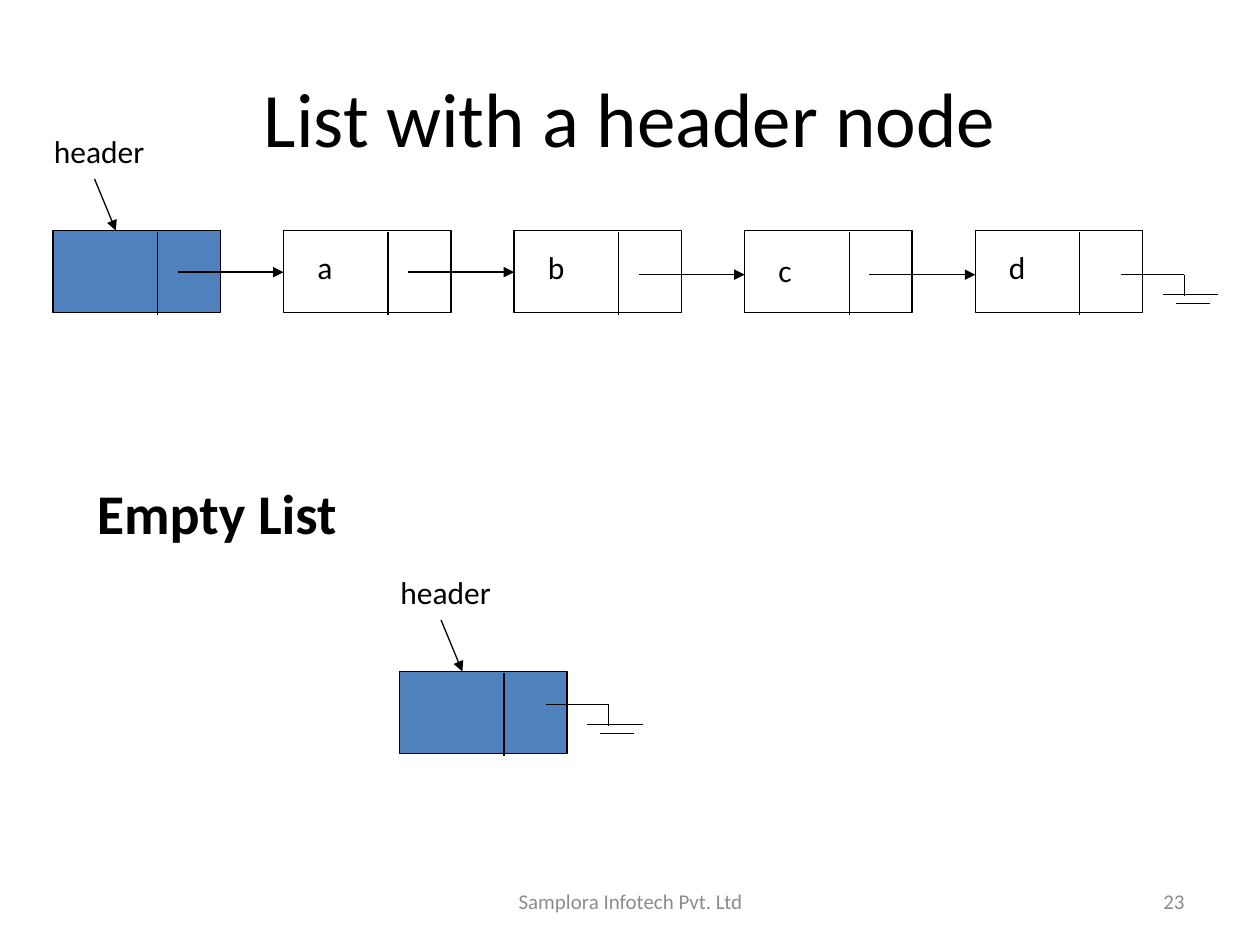
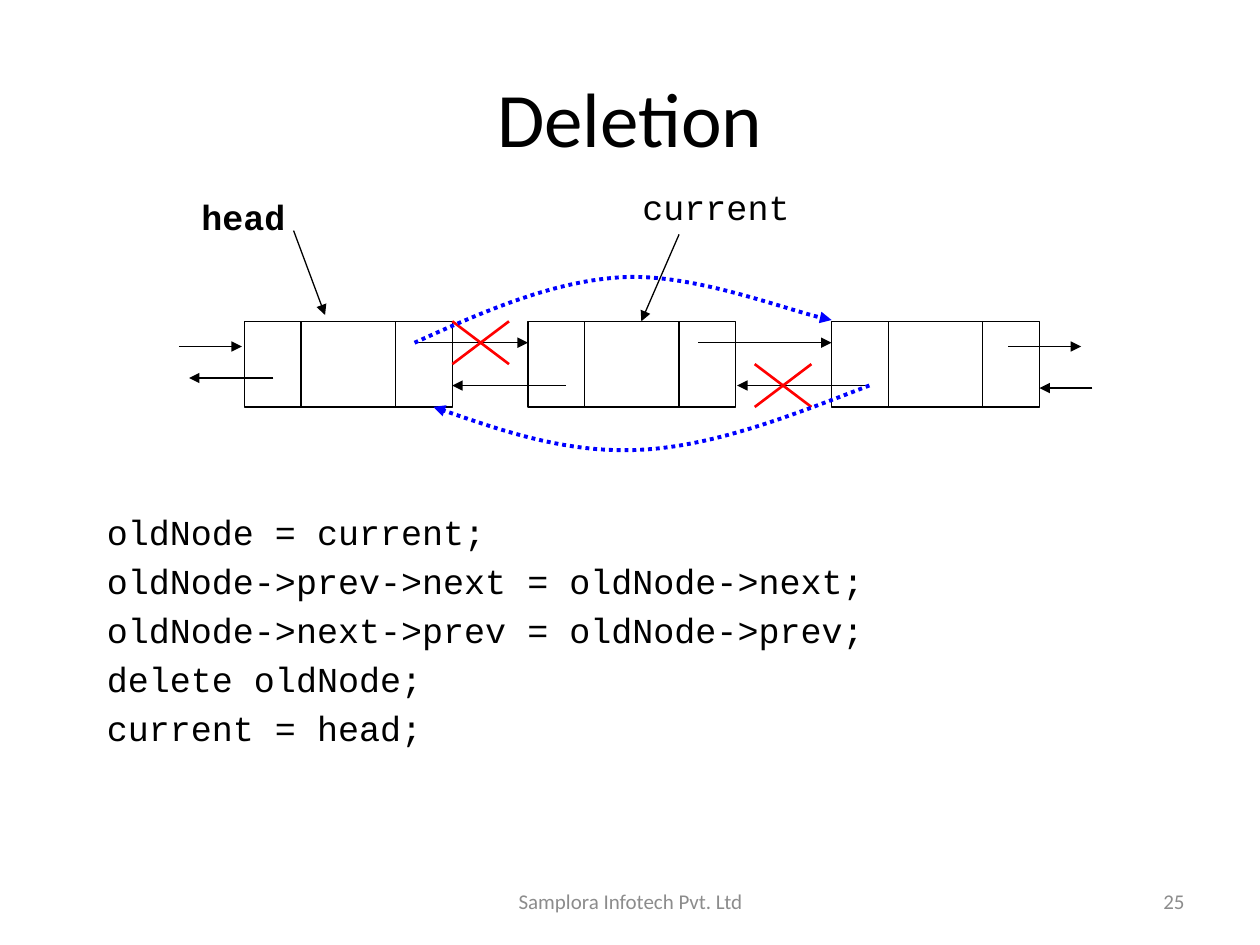
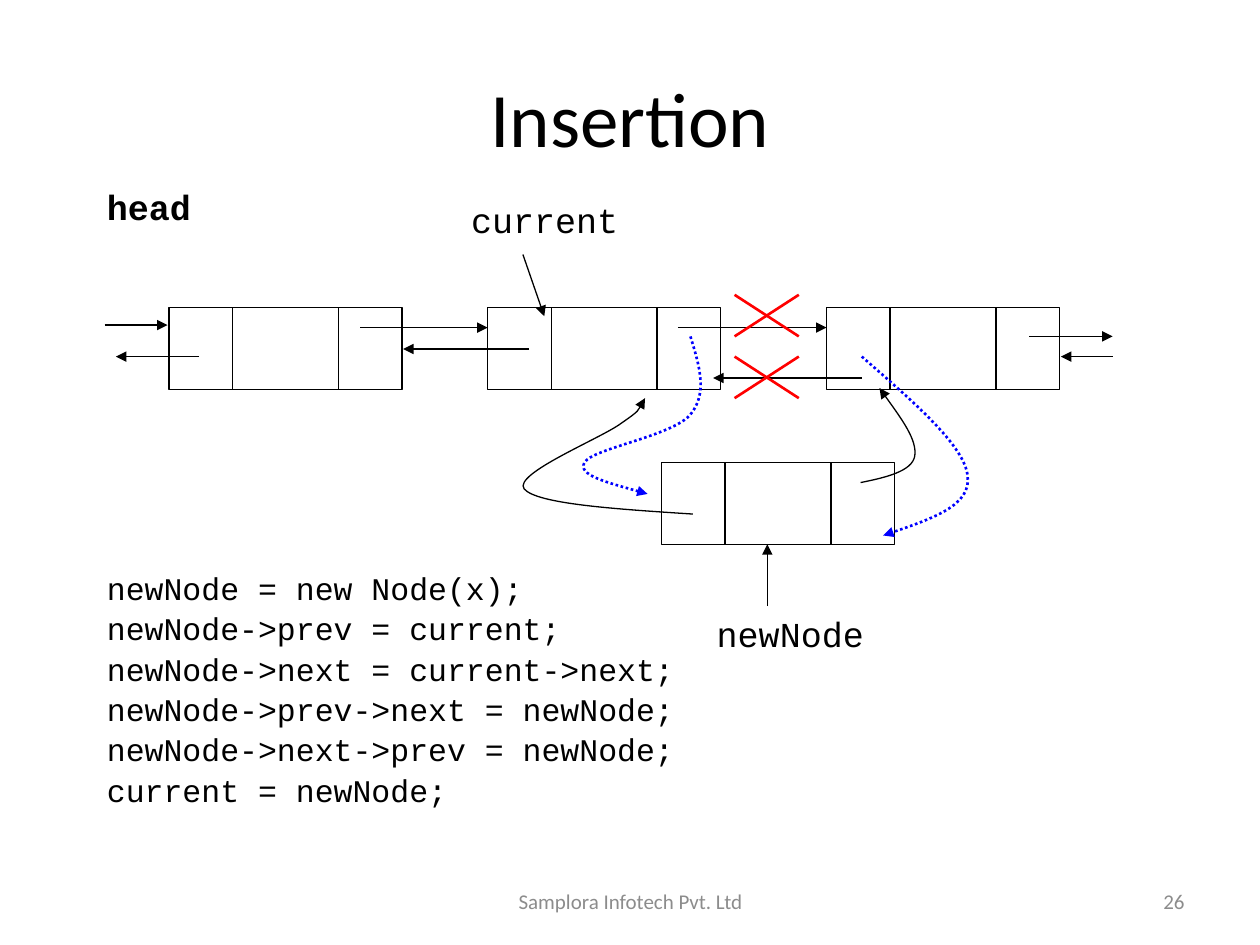
"""Build three lecture slides on linked lists."""
from dataclasses import dataclass

from lxml import etree
from pptx import Presentation
from pptx.dml.color import RGBColor
from pptx.enum.dml import MSO_LINE
from pptx.enum.shapes import MSO_CONNECTOR, MSO_SHAPE
from pptx.enum.text import MSO_ANCHOR, PP_ALIGN
from pptx.oxml.ns import qn
from pptx.util import Inches, Pt

LEFT, CENTER, RIGHT = PP_ALIGN.LEFT, PP_ALIGN.CENTER, PP_ALIGN.RIGHT
TOP, MIDDLE = MSO_ANCHOR.TOP, MSO_ANCHOR.MIDDLE
RECTANGLE = MSO_SHAPE.RECTANGLE
STRAIGHT = MSO_CONNECTOR.STRAIGHT
DOTTED = MSO_LINE.ROUND_DOT
TITLE_ONLY = 5


@dataclass(frozen=True)
class Theme:
    """Colours, fonts, type sizes and line widths of the deck."""
    ink: str = "000000"
    paper: str = "FFFFFF"
    header_fill: str = "4F81BD"
    new_link: str = "0000FF"
    removed: str = "FF0000"
    footer_ink: str = "8C8C8C"
    sans: str = "Calibri"
    mono: str = "Courier New"
    title: int = 44
    subtitle: int = 32
    code: int = 20
    label: int = 18
    footer: int = 12
    thin: float = 0.75
    medium: float = 1.5
    thick: float = 2.25


class ListDeck:
    """Holds the theme and the current slide, and draws list diagrams."""

    def __init__(self, theme):
        """Start an empty 10 by 7.5 inch presentation."""
        self.theme = theme
        self.deck = Presentation()
        self.deck.slide_width, self.deck.slide_height = Inches(10), Inches(7.5)
        self.shapes = None

    def new_slide(self, heading, number):
        """Add a slide with its title, footer and slide number."""
        t = self.theme
        slide = self.deck.slides.add_slide(self.deck.slide_layouts[TITLE_ONLY])
        self.shapes = slide.shapes
        title = self.shapes.title
        title.left, title.top = Inches(0.5), Inches(0.3)
        title.width, title.height = Inches(9), Inches(1.25)
        title.text_frame.vertical_anchor = MIDDLE
        self.set_text(title.text_frame, [heading], t.title, align=CENTER)
        for left, width, words, align in (
                (3.42, 3.17, "Samplora Infotech Pvt. Ltd", CENTER),
                (7.17, 2.33, str(number), RIGHT)):
            self.text(left, 6.95, width, 0.4, [words], t.footer,
                      color=t.footer_ink, align=align, anchor=MIDDLE)

    def set_text(self, frame, lines, size, font=None, color=None, bold=False,
                 align=LEFT, before=0, spacing=None, hanging=False):
        """Fill a text frame, one paragraph a line; before is in percent."""
        frame.text = "\n".join(lines)
        for paragraph in frame.paragraphs:
            paragraph.alignment = align
            paragraph.font.name = font or self.theme.sans
            paragraph.font.size = Pt(size)
            paragraph.font.bold = bold
            paragraph.font.color.rgb = RGBColor.from_string(color or self.theme.ink)
            if spacing:
                paragraph.line_spacing = spacing
            properties = paragraph._p.get_or_add_pPr()
            if before:
                paragraph.space_before = Pt(0)
                gap = properties.find(qn("a:spcBef"))
                gap.remove(gap[0])
                etree.SubElement(gap, qn("a:spcPct"), val=str(before * 1000))
            if hanging:
                properties.set("marL", str(Inches(0.38)))
                properties.set("indent", str(-Inches(0.38)))

    def text(self, left, top, width, height, lines, size, anchor=TOP, **style):
        """Add a wrapping text box."""
        box = self.shapes.add_textbox(Inches(left), Inches(top),
                                      Inches(width), Inches(height))
        box.text_frame.word_wrap = True
        box.text_frame.vertical_anchor = anchor
        self.set_text(box.text_frame, lines, size, **style)

    def body(self, left, top, width, height, lines, size, **style):
        """Add the main text of a slide."""
        self.text(left, top, width, height, lines, size, before=20,
                  hanging=True, **style)

    def code_label(self, left, top, width, word, bold=False):
        """Add the name of a pointer variable."""
        self.text(left, top, width, 0.5, [word], self.theme.code,
                  font=self.theme.mono, bold=bold)

    def stroke(self, shape, color, width, arrow=False, dash=None):
        """Style a line, with an optional arrowhead at its end."""
        shape.line.color.rgb = RGBColor.from_string(color)
        shape.line.width = Pt(width)
        if dash:
            shape.line.dash_style = dash
        if arrow:
            outline = shape._element.spPr.find(qn("a:ln"))
            etree.SubElement(outline, qn("a:tailEnd"), type="triangle")

    def line(self, start, end, color=None, width=None, arrow=False):
        """Add a straight line between two points."""
        t = self.theme
        link = self.shapes.add_connector(
            STRAIGHT, *(Inches(value) for value in (*start, *end)))
        self.stroke(link, color or t.ink, width or t.thin, arrow)
        etree.SubElement(link._element.spPr, qn("a:effectLst"))

    def arrow(self, start, end):
        """Add a straight pointer arrow."""
        self.line(start, end, arrow=True)

    def curve(self, points, color=None, width=None, dash=None):
        """Add a curved arrow: a start, then three Bezier points a segment."""
        t = self.theme
        start, *controls = [(Inches(x), Inches(y)) for x, y in points]
        builder = self.shapes.build_freeform(*start)
        builder.add_line_segments(controls, close=False)
        link = builder.convert_to_shape()
        link.shadow.inherit = False
        link.fill.background()
        self.stroke(link, color or t.ink, width or t.thin, True, dash)
        steps = list(link._element.iter(qn("a:lnTo")))
        for first in range(0, len(steps), 3):
            outline = steps[first].getparent()
            bezier = etree.SubElement(outline, qn("a:cubicBezTo"))
            for step in steps[first:first + 3]:
                bezier.append(step[0])
                outline.remove(step)

    def cell(self, left, top, width, height, fill=None):
        """Add the outlined rectangle of a node."""
        node = self.shapes.add_shape(RECTANGLE, Inches(left), Inches(top),
                                     Inches(width), Inches(height))
        node.shadow.inherit = False
        node.fill.solid()
        node.fill.fore_color.rgb = RGBColor.from_string(fill or self.theme.paper)
        self.stroke(node, self.theme.ink, self.theme.thin)

    def single_node(self, left, top, fill=None):
        """Add a node with a value and one pointer."""
        self.cell(left, top, 1.33, 0.65, fill)
        self.line((left + 0.83, top + 0.01), (left + 0.83, top + 0.67))

    def header_node(self, left, top):
        """Add a filled header node with its label and arrow."""
        self.single_node(left, top, self.theme.header_fill)
        self.arrow((left + 0.33, top - 0.41), (left + 0.5, top))
        self.text(left - 0.09, top - 0.83, 1.33, 0.5, ["header"],
                  self.theme.label, before=50)

    def double_node(self, left, top, width, height):
        """Add a node with a value between two pointers."""
        self.cell(left, top, width, height)
        for share in (3 / 11, 8 / 11):
            x = left + width * share
            self.line((x, top), (x, top + height))

    def ground(self, x, y):
        """Add the null pointer sign that starts at a point."""
        for x1, y1, x2, y2 in ((0, 0, 0.5, 0), (0.5, 0, 0.5, 0.17),
                               (0.33, 0.16, 0.77, 0.16), (0.43, 0.23, 0.7, 0.23)):
            self.line((x + x1, y + y1), (x + x2, y + y2))

    def cross(self, left, top, width, height):
        """Cross out a link that is removed."""
        right, bottom = left + width, top + height
        for start, end in (((right, top), (left, bottom)),
                           ((left, top), (right, bottom))):
            self.line(start, end, self.theme.removed, self.theme.medium)


def header_slide(deck):
    """Show a list with a header node, and an empty one."""
    size = deck.theme.label
    deck.new_slide("List with a header node", 23)
    deck.body(0.67, 3.75, 3.5, 0.75, ["Empty List"], deck.theme.subtitle, bold=True)
    first, step, top = 0.42, 1.83, 1.83
    deck.header_node(first, top)
    for place, (value, rise) in enumerate(
            (("a", 0), ("b", 0), ("c", 0.02), ("d", 0)), start=1):
        left = first + place * step
        deck.single_node(left, top)
        deck.text(left + 0.17, 1.92 + rise, 0.66, 0.49, [value], size)
    for place, y in enumerate((2.16, 2.16, 2.18, 2.18)):
        left = first + place * step
        deck.arrow((left + 0.99, y), (left + step, y))
    deck.ground(8.9, 2.18)
    deck.header_node(3.17, 5.33)
    deck.ground(4.33, 5.59)


def deletion_slide(deck):
    """Show how a node leaves a doubly linked list."""
    t = deck.theme
    deck.new_slide("Deletion", 25)
    deck.body(0.75, 4, 8.5, 2.67, [
        "oldNode = current;",
        "oldNode->prev->next = oldNode->next;",
        "oldNode->next->prev = oldNode->prev;",
        "delete oldNode;",
        "current = head;"], t.code, font=t.mono)
    for left in (1.94, 4.19, 6.6):
        deck.double_node(left, 2.55, 1.65, 0.68)
    deck.code_label(1.5, 1.5, 1.55, "head", bold=True)
    deck.code_label(5, 1.42, 1.42, "current")
    for start, end in (
            ((2.33, 1.83), (2.58, 2.5)), ((5.39, 1.86), (5.09, 2.55)),
            ((3.29, 2.72), (4.19, 2.72)), ((4.49, 3.06), (3.59, 3.06)),
            ((5.54, 2.72), (6.6, 2.72)), ((6.9, 3.06), (5.85, 3.06)),
            ((1.42, 2.75), (1.92, 2.75)), ((2.17, 3), (1.5, 3)),
            ((8, 2.75), (8.58, 2.75)), ((8.67, 3.08), (8.25, 3.08))):
        deck.arrow(start, end)
    deck.cross(3.59, 2.55, 0.45, 0.34)
    deck.cross(5.99, 2.89, 0.45, 0.34)
    for points in (
            [(3.29, 2.72), (3.84, 2.47), (4.39, 2.23), (4.94, 2.2),
             (5.49, 2.17), (6.32, 2.49), (6.6, 2.54)],
            [(6.9, 3.06), (6.28, 3.3), (5.67, 3.54), (5.09, 3.57),
             (4.52, 3.6), (3.98, 3.42), (3.44, 3.23)]):
        deck.curve(points, t.new_link, t.thick, DOTTED)


def insertion_slide(deck):
    """Show how a node joins a doubly linked list."""
    t = deck.theme
    deck.new_slide("Insertion", 26)
    deck.body(0.75, 4.5, 8.5, 2.17, [
        "newNode = new Node(x);",
        "newNode->prev = current;",
        "newNode->next = current->next;",
        "newNode->prev->next = newNode;",
        "newNode->next->prev = newNode;",
        "current = newNode;"], t.label, font=t.mono, spacing=0.9)
    for left, top in ((1.34, 2.44), (3.87, 2.44), (6.56, 2.44), (5.25, 3.67)):
        deck.double_node(left, top, 1.85, 0.65)
    deck.code_label(0.75, 1.42, 1.18, "head", bold=True)
    deck.code_label(3.64, 1.53, 2.02, "current")
    deck.code_label(5.59, 4.81, 2.5, "newNode")
    for start, end in (
            ((4.15, 2.02), (4.32, 2.51)), ((6.09, 4.81), (6.09, 4.32)),
            ((2.86, 2.6), (3.87, 2.6)), ((4.2, 2.77), (3.2, 2.77)),
            ((5.38, 2.6), (6.56, 2.6)), ((6.84, 3), (5.66, 3)),
            ((0.83, 2.58), (1.33, 2.58)), ((1.58, 2.83), (0.92, 2.83)),
            ((8.17, 2.67), (8.83, 2.67)), ((8.83, 2.83), (8.42, 2.83))):
        deck.arrow(start, end)
    for top in (2.34, 2.83):
        deck.cross(5.83, top, 0.51, 0.33)
    for points in (
            [(5.48, 2.67), (5.55, 2.9), (5.62, 3.12), (5.48, 3.29),
             (5.34, 3.46), (4.7, 3.56), (4.64, 3.67),
             (4.58, 3.77), (4.86, 3.84), (5.14, 3.92)],
            [(6.84, 2.83), (7.25, 3.19), (7.66, 3.54), (7.68, 3.78),
             (7.71, 4.01), (7.36, 4.13), (7.01, 4.25)]):
        deck.curve(points, t.new_link, t.medium, DOTTED)
    for points in (
            [(5.5, 4.08), (4.88, 4.04), (4.26, 4), (4.16, 3.88),
             (4.07, 3.76), (4.77, 3.48), (4.93, 3.36),
             (5.09, 3.25), (5.1, 3.2), (5.12, 3.16)],
            [(6.83, 3.83), (7.03, 3.79), (7.24, 3.74), (7.26, 3.62),
             (7.28, 3.49), (7.13, 3.29), (6.98, 3.08)]):
        deck.curve(points)


lecture = ListDeck(Theme())
header_slide(lecture)
deletion_slide(lecture)
insertion_slide(lecture)
lecture.deck.save("out.pptx")
